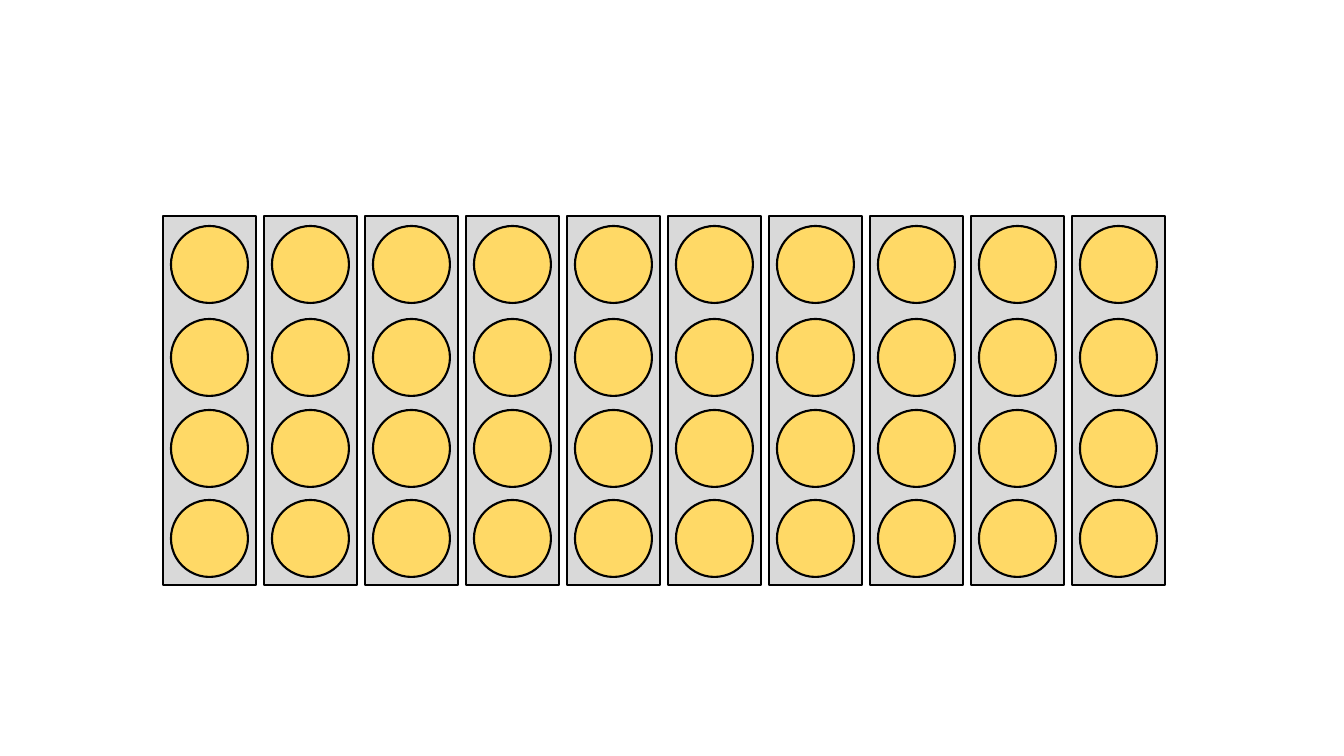
from pptx import Presentation
from pptx import util as u
from pptx.dml import color
from pptx.enum import shapes

SCALE = 914400 / 100.8
COLUMNS = 10
LEFT, TOP, PITCH = 163, 216, 101
WIDTH, HEIGHT = 93, 369
DISC, INSET = 77, 8
DISC_TOPS = (226, 319, 500, 410)


def px(n):
    """Turn pixels into EMU."""
    return u.Emu(round(n * SCALE))


def paint(form, shade):
    """Set a solid fill or line colour from a hex string."""
    form.solid()
    form.fore_color.rgb = color.RGBColor.from_string(shade)


def add_form(group, kind, left, top, width, height, shade):
    """Add a filled shape with a black outline to the group."""
    form = group.shapes.add_shape(kind, px(left), px(top), px(width), px(height))
    form.shadow.inherit = False
    paint(form.fill, shade)
    paint(form.line.fill, "000000")
    form.line.width = u.Pt(1.5)


def add_column(slide, left):
    """Add one grey bar with its yellow discs as a group."""
    group = slide.shapes.add_group_shape()
    add_form(group, shapes.MSO_SHAPE.RECTANGLE, left, TOP, WIDTH, HEIGHT, "D9D9D9")
    for top in DISC_TOPS:
        add_form(group, shapes.MSO_SHAPE.OVAL, left + INSET, top, DISC, DISC, "FFD966")


def main():
    """Build the slide and save it."""
    deck = Presentation()
    deck.slide_width, deck.slide_height = px(1344), px(756)
    slide = deck.slides.add_slide(deck.slide_layouts[6])
    for index in range(COLUMNS):
        add_column(slide, LEFT + index * PITCH)
    deck.save("out.pptx")


if __name__ == "__main__":
    main()
